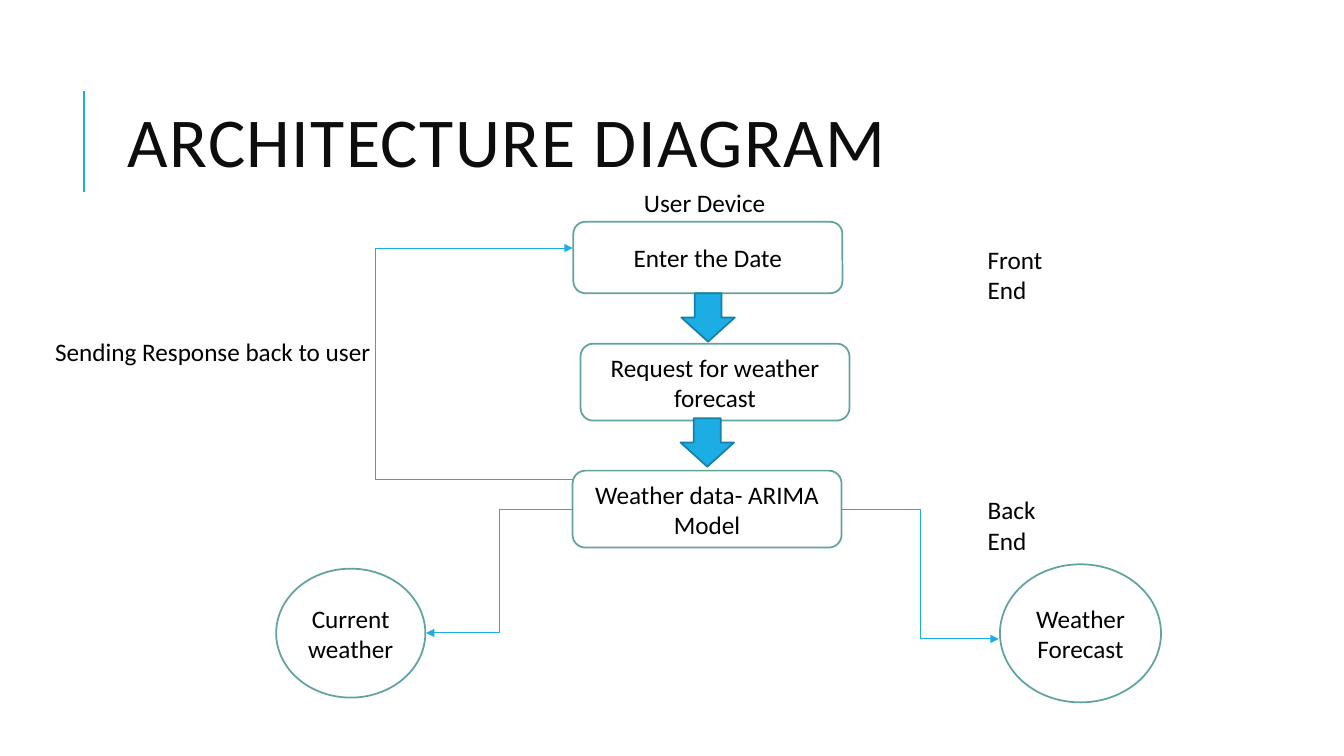
"""Build the architecture diagram slide of a weather forecasting app."""
import pptx
import pptx.dml.color
import pptx.enum.shapes
import pptx.enum.text
import pptx.oxml.ns
import pptx.util
from lxml import etree

Cm = pptx.util.Cm
Pt = pptx.util.Pt
SHAPE = pptx.enum.shapes.MSO_SHAPE
LINK = pptx.enum.shapes.MSO_CONNECTOR
ANCHOR = pptx.enum.text.MSO_ANCHOR
qn = pptx.oxml.ns.qn

COLORS = {
    "accent": "1CADE4",
    "accent_dark": "1580A9",
    "outline": "62A39F",
    "title": "0D0D0D",
    "text": "000000",
    "white": "FFFFFF",
}


class Diagram:
    """Hold the style and the current slide."""

    font = "Calibri"
    size = 18

    def __init__(self, slide):
        self.slide = slide

    def rgb(self, name):
        return pptx.dml.color.RGBColor.from_string(COLORS[name])

    def style_text(self, p, size=None, color="text"):
        for r in p.runs:
            r.font.name = self.font
            r.font.size = Pt(size or self.size)
            r.font.color.rgb = self.rgb(color)

    def text_box(self, text, x, y, w, h):
        tb = self.slide.shapes.add_textbox(Cm(x), Cm(y), Cm(w), Cm(h))
        tf = tb.text_frame
        tf.word_wrap = True
        tf.text = text
        return tf

    def title(self, text, x, y, w, h):
        tf = self.text_box(text, x, y, w, h)
        tf.vertical_anchor = ANCHOR.MIDDLE
        p = tf.paragraphs[0]
        p.line_spacing = 0.8
        self.style_text(p, 50, "title")
        p.runs[0].font._element.set("spc", "100")

    def label(self, text, x, y, w):
        tf = self.text_box(text, x, y, w, 1.03)
        tf.auto_size = pptx.enum.text.MSO_AUTO_SIZE.SHAPE_TO_FIT_TEXT
        self.style_text(tf.paragraphs[0])

    def shape(self, kind, x, y, w, h, fill, line):
        sp = self.slide.shapes.add_shape(kind, Cm(x), Cm(y), Cm(w), Cm(h))
        sp.shadow.inherit = False
        sp.fill.solid()
        sp.fill.fore_color.rgb = self.rgb(fill)
        sp.line.color.rgb = self.rgb(line)
        sp.line.width = Pt(1.25)
        return sp

    def node(self, kind, text, x, y, w, h):
        sp = self.shape(kind, x, y, w, h, "white", "outline")
        tf = sp.text_frame
        tf.word_wrap = True
        tf.vertical_anchor = ANCHOR.MIDDLE
        tf.text = text
        p = tf.paragraphs[0]
        p.alignment = pptx.enum.text.PP_ALIGN.CENTER
        self.style_text(p)
        return sp

    def down_arrow(self, x, y):
        self.shape(SHAPE.DOWN_ARROW, x, y, 1.35, 1.22, "accent", "accent_dark")

    def link(self, start, end, kind=LINK.STRAIGHT, width=0.75, arrow=False):
        points = [Cm(v) for v in (*start, *end)]
        cx = self.slide.shapes.add_connector(kind, *points)
        cx.line.color.rgb = self.rgb("accent")
        cx.line.width = Pt(width)
        if arrow:
            etree.SubElement(cx.line._get_or_add_ln(), qn("a:tailEnd"), type="triangle")
        etree.SubElement(cx._element.spPr, qn("a:effectLst"))
        return cx


def main():
    prs = pptx.Presentation()
    prs.slide_width, prs.slide_height = Cm(33.87), Cm(19.05)
    d = Diagram(prs.slides.add_slide(prs.slide_layouts[6]))

    d.link((2.12, 4.84), (2.12, 2.3), width=1.5)
    d.title("ARCHITECTURE DIAGRAM", 2.97, 1.7, 27.94, 4.04)

    steps = [
        ("Enter the Date", 14.45, 5.59, 1.8),
        ("Request for weather forecast", 14.63, 8.66, 1.94),
        ("Weather data- ARIMA Model", 14.43, 11.86, 1.94),
    ]
    for text, x, y, h in steps:
        model = d.node(SHAPE.ROUNDED_RECTANGLE, text, x, y, 6.78, h)
    d.node(SHAPE.OVAL, "Current weather", 6.96, 14.33, 3.76, 3.25)
    d.node(SHAPE.OVAL, "Weather Forecast", 25.2, 14.22, 4.06, 3.48)

    for text, x, y, w in [
        ("User Device", 15.98, 4.6, 3.76),
        ("Sending Response back to user", 1.14, 8.36, 15.4),
        ("Front End", 24.64, 6.02, 2.67),
        ("Back End", 24.64, 12.34, 2.67),
    ]:
        d.label(text, x, y, w)

    for x, y in [(17.17, 7.39), (17.15, 10.54)]:
        d.down_arrow(x, y)

    for side, start, end in [
        (3, (21.21, 12.83), (25.17, 16.1)),
        (1, (14.43, 12.83), (10.74, 15.95)),
    ]:
        cx = d.link(start, end, LINK.ELBOW, arrow=True)
        cx.begin_connect(model, side)

    response = [(14.43, 12.09), (9.47, 12.09), (9.47, 6.25), (14.43, 6.25)]
    for start, end in zip(response, response[1:]):
        d.link(start, end, arrow=end == response[-1])

    prs.save("out.pptx")


if __name__ == "__main__":
    main()
